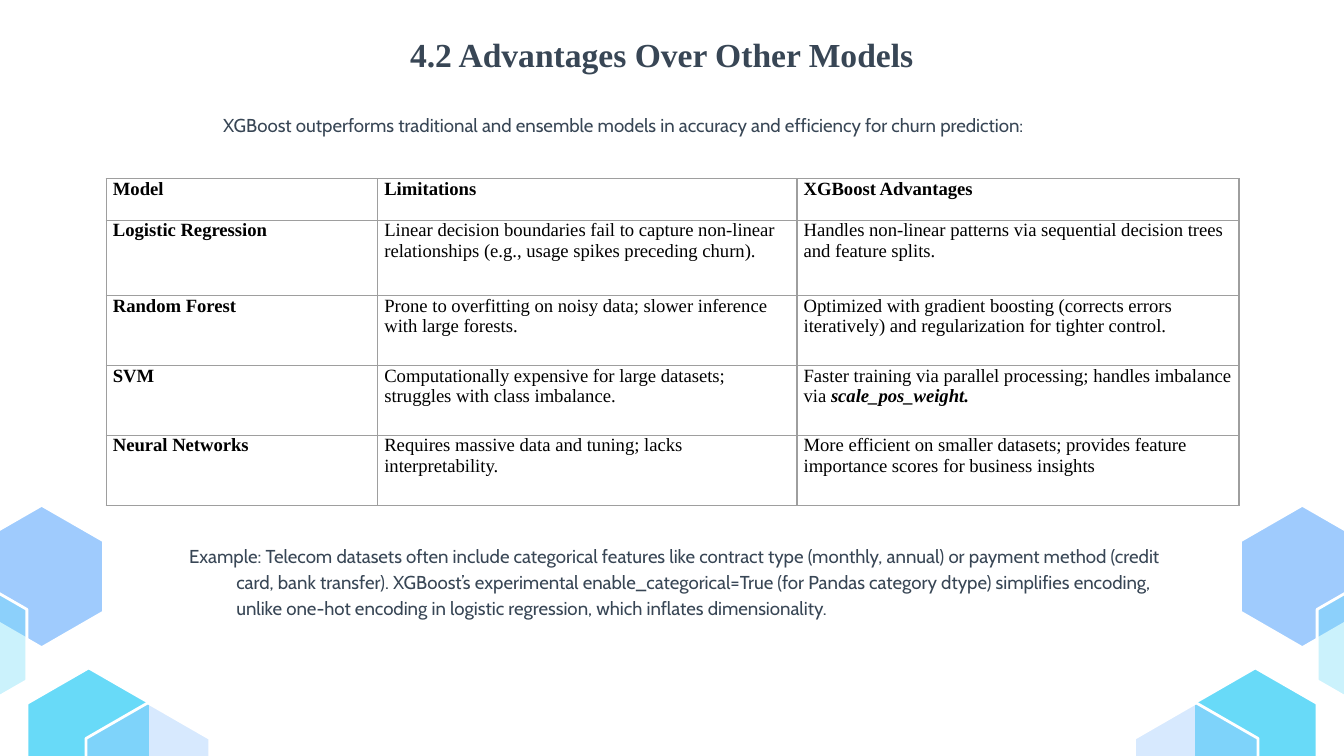
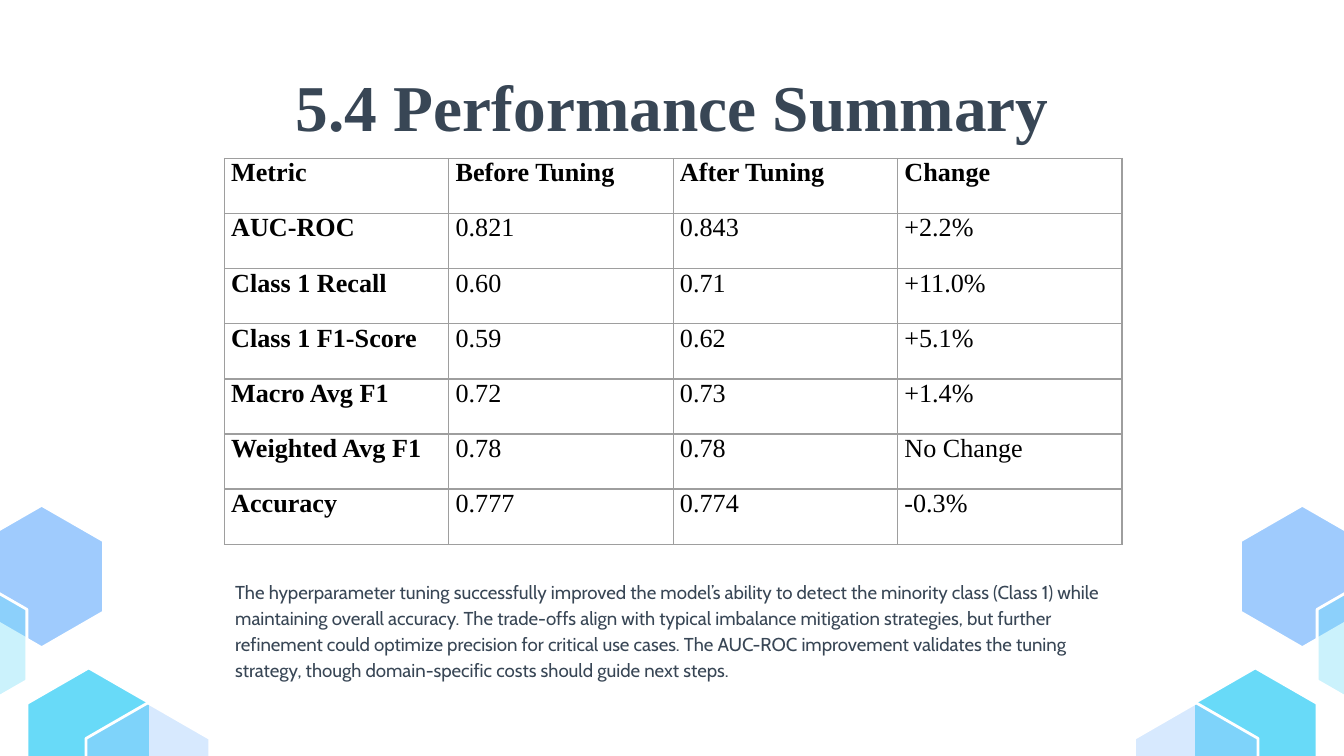
from lxml.etree import SubElement
from pptx import Presentation
from pptx.dml.color import RGBColor
from pptx.enum.text import MSO_ANCHOR, MSO_AUTO_SIZE, PP_ALIGN
from pptx.oxml.ns import qn
from pptx.util import Inches, Pt

SLATE = RGBColor(0x38, 0x46, 0x55)
BLACK = RGBColor(0, 0, 0)
WHITE = RGBColor(255, 255, 255)
GREY = RGBColor(0x9E, 0x9E, 0x9E)
BLUE = RGBColor(0x9F, 0xCB, 0xFD)
CYAN = RGBColor(0x68, 0xDA, 0xF8)
SERIF, SANS = "Times New Roman", "Cabin"

# Left-hand hexagons, mirrored on the right: left, top, colour, opacity in percent
HEXAGONS = [
    (-0.15, 3.76, BLUE, 100),
    (0.2, 4.97, CYAN, 100),
    (-0.72, 4.27, CYAN, 34),
    (0.64, 5.23, BLUE, 41),
]
HEXAGON_WIDTH, HEXAGON_HEIGHT = 0.92, 1.06
SLIDE_WIDTH = 10
HANGING = -0.35

# Boxes are left, top, width, height; a cell given as a pair ends in emphasis
SLIDES = [
    {
        "title": ("4.2 Advantages Over Other Models", (0.71, 0.15, 8.43, 0.45), 18),
        "body": (
            "XGBoost outperforms traditional and ensemble models in accuracy and "
            "efficiency for churn prediction:",
            (1.41, 0.72, 7.02, 0.45), HANGING,
        ),
        "note": (
            "Example: Telecom datasets often include categorical features like contract "
            "type (monthly, annual) or payment method (credit card, bank transfer). "
            "XGBoost’s experimental enable_categorical=True (for Pandas category dtype) "
            "simplifies encoding, unlike one-hot encoding in logistic regression, which "
            "inflates dimensionality.",
            (1.16, 3.93, 7.67, 0.74), HANGING,
        ),
        "table": {
            "origin": (0.79, 1.33),
            "columns": [2.02, 3.12, 3.29],
            "rows": [0.31, 0.56, 0.52, 0.52, 0.52],
            "size": 10,
            "cells": [
                ("Model", "Limitations", "XGBoost Advantages"),
                ("Logistic Regression",
                 "Linear decision boundaries fail to capture non-linear relationships "
                 "(e.g., usage spikes preceding churn).",
                 "Handles non-linear patterns via sequential decision trees and feature "
                 "splits."),
                ("Random Forest",
                 "Prone to overfitting on noisy data; slower inference with large forests.",
                 "Optimized with gradient boosting (corrects errors iteratively) and "
                 "regularization for tighter control."),
                ("SVM",
                 "Computationally expensive for large datasets; struggles with class "
                 "imbalance.",
                 ("Faster training via parallel processing; handles imbalance via ",
                  "scale_pos_weight.")),
                ("Neural Networks",
                 "Requires massive data and tuning; lacks interpretability.",
                 "More efficient on smaller datasets; provides feature importance scores "
                 "for business insights"),
            ],
        },
    },
    {
        "title": ("5.4 Performance Summary", (0.79, 0.39, 8.43, 0.63), 35),
        "body": (
            "The hyperparameter tuning successfully improved the model’s ability to "
            "detect the minority class (Class 1) while maintaining overall accuracy. The "
            "trade-offs align with typical imbalance mitigation strategies, but further "
            "refinement could optimize precision for critical use cases. The AUC-ROC "
            "improvement validates the tuning strategy, though domain-specific costs "
            "should guide next steps.",
            (1.15, 4.2, 7.27, 0.99), 0,
        ),
        "table": {
            "origin": (1.67, 1.18),
            "columns": [1.67] * 4,
            "rows": [0.41] * 7,
            "size": 14,
            "cells": [
                ("Metric", "Before Tuning", "After Tuning", "Change"),
                ("AUC-ROC", "0.821", "0.843", "+2.2%"),
                ("Class 1 Recall", "0.60", "0.71", "+11.0%"),
                ("Class 1 F1-Score", "0.59", "0.62", "+5.1%"),
                ("Macro Avg F1", "0.72", "0.73", "+1.4%"),
                ("Weighted Avg F1", "0.78", "0.78", "No Change"),
                ("Accuracy", "0.777", "0.774", "-0.3%"),
            ],
        },
    },
]

FRAME_FORMAT = {
    "word_wrap": True,
    "auto_size": MSO_AUTO_SIZE.NONE,
    "vertical_anchor": MSO_ANCHOR.TOP,
    **{f"margin_{side}": Inches(0.1) for side in ("left", "top", "right", "bottom")},
}
CELL_FORMAT = {
    "margin_left": Inches(0.05), "margin_right": Inches(0.05),
    "margin_top": 0, "margin_bottom": 0,
    "vertical_anchor": MSO_ANCHOR.TOP,
}


def set_format(target, values):
    for name, value in values.items():
        setattr(target, name, value)


def add_run(paragraph, text, colour, **font_format):
    run = paragraph.add_run()
    run.text = text
    set_format(run.font, font_format)
    run.font.color.rgb = colour


def place(shape, box):
    """Move a shape to its box, and return its first paragraph."""
    set_format(shape, dict(zip(("left", "top", "width", "height"), map(Inches, box))))
    set_format(shape.text_frame, FRAME_FORMAT)
    return shape.text_frame.paragraphs[0]


def fill_title(shape, text, box, size):
    paragraph = place(shape, box)
    paragraph.alignment = PP_ALIGN.CENTER
    add_run(paragraph, text, SLATE, name=SERIF, size=Pt(size), bold=True)


def fill_text(shape, text, box, first_indent):
    paragraph = place(shape, box)
    set_format(paragraph, {"line_spacing": 1.15, "space_before": Pt(0),
                           "alignment": PP_ALIGN.LEFT})
    properties = paragraph._p.get_or_add_pPr()
    properties.set("marL", str(Inches(0.5)))
    properties.set("indent", str(Inches(first_indent)))
    SubElement(properties, qn("a:buNone"))
    add_run(paragraph, text, SLATE, name=SANS, size=Pt(10))


def add_borders(cell):
    properties = cell._tc.get_or_add_tcPr()
    for side in ("lnL", "lnR", "lnT", "lnB"):
        line = SubElement(properties, qn(f"a:{side}"), w=str(Pt(0.75)))
        solid = SubElement(line, qn("a:solidFill"))
        SubElement(solid, qn("a:srgbClr"), val=str(GREY))


def add_grid(slide, origin, columns, rows, size, cells):
    box = map(Inches, (*origin, sum(columns), sum(rows)))
    table = slide.shapes.add_table(len(rows), len(columns), *box).table
    set_format(table, {"first_row": False, "horz_banding": False})
    for column, width in zip(table.columns, columns):
        column.width = Inches(width)
    for row_index, (row, height) in enumerate(zip(table.rows, rows)):
        row.height = Inches(height)
        for column_index, cell in enumerate(row.cells):
            set_format(cell, CELL_FORMAT)
            add_borders(cell)
            cell.fill.background()
            content = cells[row_index][column_index]
            parts = (content,) if isinstance(content, str) else content
            heading = row_index == 0 or column_index == 0
            for part_index, part in enumerate(parts):
                emphasis = part_index > 0
                add_run(cell.text_frame.paragraphs[0], part, BLACK, name=SERIF,
                        size=Pt(size), bold=heading or emphasis, italic=emphasis)


def add_hexagon(slide, left, top, colour, opacity):
    shares = [(0.5, 0), (1, 0.25), (1, 0.75), (0.5, 1), (0, 0.75), (0, 0.25)]
    points = [(Inches(left + x * HEXAGON_WIDTH), Inches(top + y * HEXAGON_HEIGHT))
              for x, y in shares]
    builder = slide.shapes.build_freeform(*points[0])
    builder.add_line_segments(points[1:], close=True)
    shape = builder.convert_to_shape()
    shape.shadow.inherit = False
    shape.fill.solid()
    shape.fill.fore_color.rgb = colour
    shape.line.color.rgb = WHITE
    shape.line.width = Pt(1.5)
    if opacity < 100:
        colour_element = shape.element.spPr.find(qn("a:solidFill"))[0]
        SubElement(colour_element, qn("a:alpha"), val=str(opacity * 1000))
    return shape


def decorate_layout(layout, slide):
    """Draw the hexagons on a slide, then hand them over to its layout."""
    for placeholder in list(layout.placeholders):
        if placeholder.placeholder_format.idx > 1:
            placeholder.element.getparent().remove(placeholder.element)
    hexagons = [
        add_hexagon(slide, side_left, top, colour, opacity)
        for left, top, colour, opacity in HEXAGONS
        for side_left in (left, SLIDE_WIDTH - HEXAGON_WIDTH - left)
    ]
    for hexagon in hexagons:
        layout.shapes.element.append(hexagon.element)


def main():
    presentation = Presentation()
    presentation.slide_width = Inches(SLIDE_WIDTH)
    presentation.slide_height = Inches(SLIDE_WIDTH) * 9 // 16
    layout = presentation.slide_layouts[1]
    layout.background.fill.solid()
    layout.background.fill.fore_color.rgb = WHITE

    for index, content in enumerate(SLIDES):
        slide = presentation.slides.add_slide(layout)
        if index == 0:
            decorate_layout(layout, slide)
        fill_title(slide.shapes.title, *content["title"])
        fill_text(slide.placeholders[1], *content["body"])
        add_grid(slide, **content["table"])
        if "note" in content:
            fill_text(slide.shapes.add_textbox(0, 0, 0, 0), *content["note"])

    presentation.save("out.pptx")


if __name__ == "__main__":
    main()
